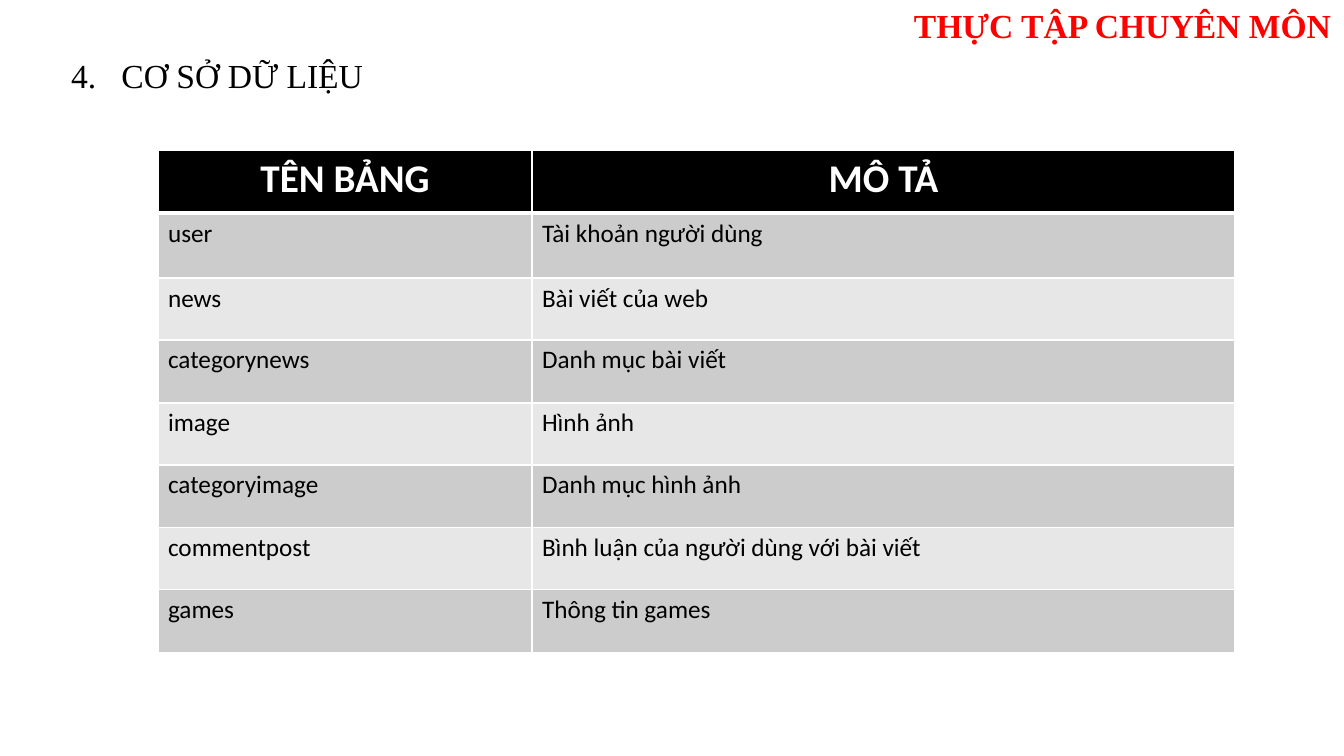
from dataclasses import dataclass
from itertools import pairwise

from lxml.etree import SubElement
from pptx import Presentation
from pptx.dml.color import RGBColor
from pptx.enum.text import MSO_ANCHOR, MSO_AUTO_SIZE, PP_ALIGN
from pptx.oxml.ns import qn
from pptx.slide import Slide
from pptx.table import _Cell
from pptx.text.text import TextFrame
from pptx.util import Emu, Pt

COLORS = {"red": "FF0000", "black": "000000", "white": "FFFFFF", "dark_band": "CCCCCC", "light_band": "E7E7E7"}
EMU_PER_PIXEL = 914400 / 100.8


@dataclass(frozen=True)
class TextStyle:
    """Describe the look of a piece of text."""

    size: int
    font: str
    color: str
    bold: bool = False
    align: PP_ALIGN = PP_ALIGN.LEFT


@dataclass(frozen=True)
class DataTable:
    """Describe one row of the database listing."""

    name: str
    purpose: str


COURSE = TextStyle(24, "Times New Roman", "red", True)
SECTION = TextStyle(24, "Times New Roman", "black")
HEADING = TextStyle(28, "Calibri", "white", True, PP_ALIGN.CENTER)
BODY = TextStyle(18, "Calibri", "black")

LISTING = [
    DataTable("TÊN BẢNG", "MÔ TẢ"),
    DataTable("user", "Tài khoản người dùng"),
    DataTable("news", "Bài viết của web"),
    DataTable("categorynews", "Danh mục bài viết"),
    DataTable("image", "Hình ảnh"),
    DataTable("categoryimage", "Danh mục hình ảnh"),
    DataTable("commentpost", "Bình luận của người dùng với bài viết"),
    DataTable("games", "Thông tin games"),
]
COLUMN_EDGES = [158, 532, 1235]
ROW_EDGES = [150, 213] + [278 + 125 * step // 2 for step in range(len(LISTING) - 1)]


def px(pixels: int) -> Emu:
    """Turn pixels into EMU."""
    return Emu(round(pixels * EMU_PER_PIXEL))


def write(frame: TextFrame, text: str, style: TextStyle) -> None:
    """Write one styled paragraph."""
    paragraph = frame.paragraphs[0]
    paragraph.alignment = style.align
    run = paragraph.add_run()
    run.text = text
    for attribute, value in {"size": Pt(style.size), "name": style.font, "bold": style.bold}.items():
        setattr(run.font, attribute, value)
    run.font.color.rgb = RGBColor.from_string(COLORS[style.color])


def place_line(shape, box: tuple[int, int, int, int], text: str, style: TextStyle) -> None:
    """Position a text shape and fill in its line."""
    for attribute, pixels in zip(("left", "top", "width", "height"), box):
        setattr(shape, attribute, px(pixels))
    frame_format = {"word_wrap": True, "auto_size": MSO_AUTO_SIZE.SHAPE_TO_FIT_TEXT, "vertical_anchor": MSO_ANCHOR.TOP}
    for attribute, value in frame_format.items():
        setattr(shape.text_frame, attribute, value)
    write(shape.text_frame, text, style)


def add_borders(cell: _Cell, widths: dict[str, int]) -> None:
    """Draw white borders of the given point widths."""
    properties = cell._tc.get_or_add_tcPr()
    for side, width in widths.items():
        border = SubElement(properties, qn(f"a:ln{side}"), w=str(Pt(width)))
        paint = SubElement(border, qn("a:solidFill"))
        SubElement(paint, qn("a:srgbClr"), val=COLORS["white"])


def add_listing(slide: Slide) -> None:
    """Add the table of database tables."""
    left, top = COLUMN_EDGES[0], ROW_EDGES[0]
    size = px(COLUMN_EDGES[-1] - left), px(ROW_EDGES[-1] - top)
    listing = slide.shapes.add_table(len(LISTING), 2, px(left), px(top), *size).table
    for column, (start, end) in zip(listing.columns, pairwise(COLUMN_EDGES)):
        column.width = px(end - start)
    for row, (start, end) in zip(listing.rows, pairwise(ROW_EDGES)):
        row.height = px(end - start)
    for index, entry in enumerate(LISTING):
        band = "black" if index == 0 else ("light_band", "dark_band")[index % 2]
        widths = {"L": 1, "R": 1, "T": 3 if index == 1 else 1, "B": 3 if index == 0 else 1}
        for column, text in enumerate((entry.name, entry.purpose)):
            cell = listing.cell(index, column)
            add_borders(cell, widths)
            cell.fill.solid()
            cell.fill.fore_color.rgb = RGBColor.from_string(COLORS[band])
            write(cell.text_frame, text, BODY if index else HEADING)


def main() -> None:
    """Build the database slide."""
    deck = Presentation()
    deck.slide_width, deck.slide_height = px(1344), px(756)
    slide = deck.slides.add_slide(deck.slide_layouts[5])
    course = slide.shapes.add_textbox(0, 0, 0, 0)
    place_line(course, (904, 0, 440, 50), "THỰC TẬP CHUYÊN MÔN", COURSE)
    place_line(slide.shapes.title, (61, 50, 798, 50), "4.\tCƠ SỞ DỮ LIỆU", SECTION)
    add_listing(slide)
    deck.save("out.pptx")


main()
